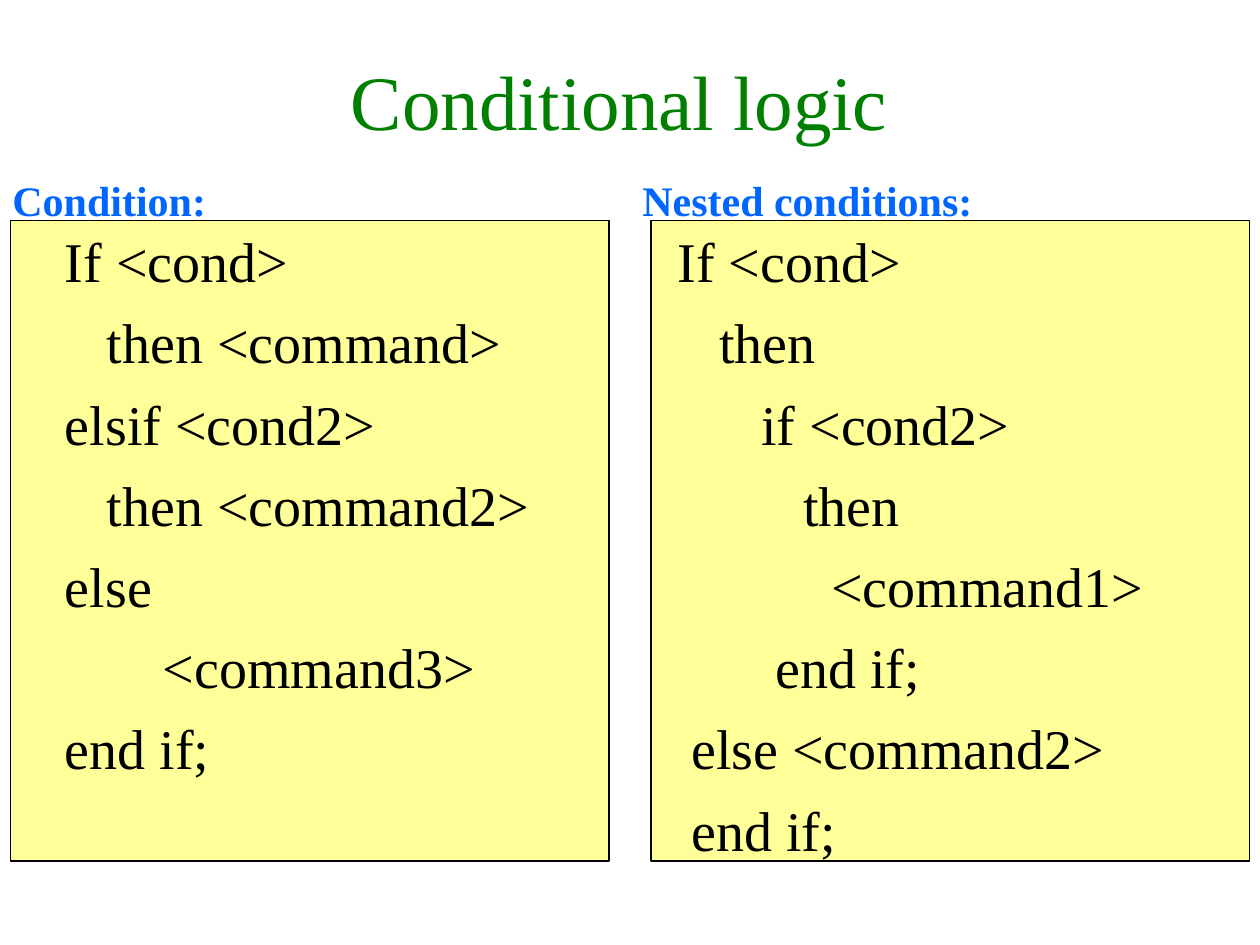
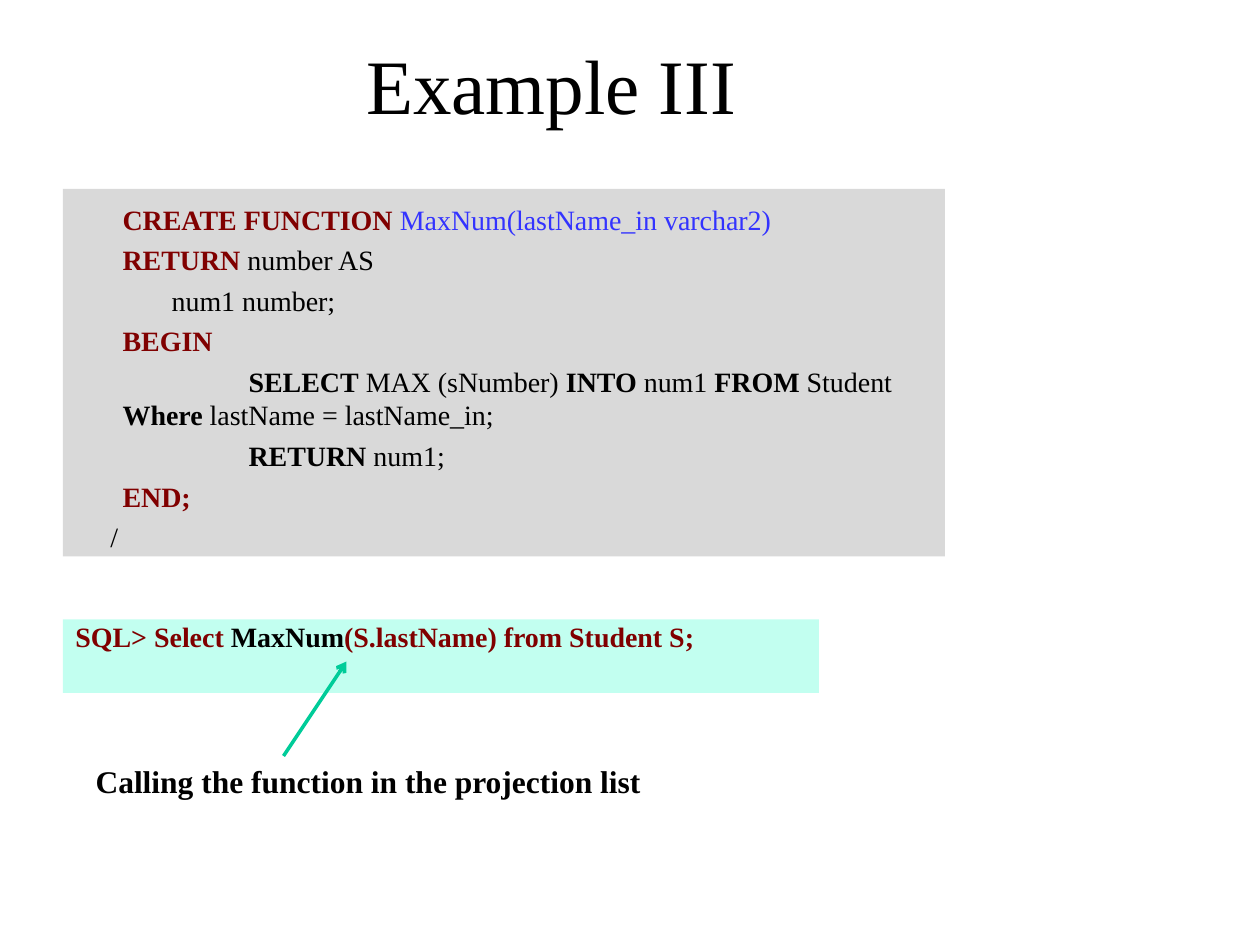
"""Build two slides on conditional logic and functions in SQL procedures."""
from dataclasses import dataclass

from lxml.etree import SubElement
from pptx import Presentation
from pptx.dml.color import RGBColor
from pptx.enum.shapes import MSO_CONNECTOR as Connector, MSO_SHAPE as Shape
from pptx.enum.text import MSO_ANCHOR as Anchor, PP_ALIGN as Align
from pptx.oxml.ns import qn
from pptx.util import Pt


@dataclass(frozen=True)
class Theme:
    font: str = "Times New Roman"
    black: str = "000000"
    green: str = "008000"
    label_blue: str = "0066FF"
    signature_blue: str = "3333FF"
    maroon: str = "800000"
    yellow: str = "FFFF99"
    grey: str = "D9D9D9"
    mint: str = "C2FFF0"
    teal: str = "00CC99"
    title_size: float = 44
    logic_size: float = 32
    label_size: float = 24
    caption_size: float = 18
    code_size: float = 16


THEME = Theme()
PLAIN = (THEME.black, False)
BOLD = (THEME.black, True)
KEYWORD = (THEME.maroon, True)
SIGNATURE = (THEME.signature_blue, False)
LABEL = (THEME.label_blue, True)


class SlideBuilder:
    def __init__(self, theme, width, height):
        self.theme = theme
        self.deck = Presentation()
        self.deck.slide_width, self.deck.slide_height = Pt(width), Pt(height)
        self.page = None

    def new_page(self):
        self.page = self.deck.slides.add_slide(self.deck.slide_layouts[6])

    def style(self, span, size, look):
        color, bold = look
        span.font.name = self.theme.font
        span.font.size = Pt(size)
        span.font.bold = bold
        span.font.color.rgb = RGBColor.from_string(color)

    def add_lines(self, box, lines, size, before=0.0, spacing=None):
        frame = box.text_frame
        for number, (left, first, spans) in enumerate(lines):
            para = frame.add_paragraph() if number else frame.paragraphs[0]
            para.alignment = Align.LEFT
            para.space_before = Pt(before)
            if spacing:
                para.line_spacing = spacing
            properties = para._p.get_or_add_pPr()
            properties.set("marL", str(Pt(left)))
            properties.set("indent", str(Pt(first)))
            for look, text in spans:
                span = para.add_run()
                span.text = text
                self.style(span, size, look)

    def text(self, area, text, size, look, before=0.0, wrap=True):
        box = self.page.shapes.add_textbox(*map(Pt, area))
        box.text_frame.word_wrap = wrap
        self.add_lines(box, [(0, 0, [(look, text)])], size, before)
        return box

    def title(self, area, text, color):
        box = self.text(area, text, self.theme.title_size, (color, False))
        box.text_frame.vertical_anchor = Anchor.MIDDLE
        box.text_frame.paragraphs[0].alignment = Align.CENTER

    def panel(self, area, fill, lines, size, before, outline=None, spacing=None, top=3.6):
        box = self.page.shapes.add_shape(Shape.RECTANGLE, *map(Pt, area))
        box.shadow.inherit = False
        box.fill.solid()
        box.fill.fore_color.rgb = RGBColor.from_string(fill)
        if outline:
            box.line.color.rgb = RGBColor.from_string(outline)
            box.line.width = Pt(0.75)
        else:
            box.line.fill.background()
        box.text_frame.word_wrap = True
        box.text_frame.vertical_anchor = Anchor.TOP
        box.text_frame.margin_top = Pt(top)
        self.add_lines(box, lines, size, before, spacing)

    def arrow(self, start, end):
        connector = self.page.shapes.add_connector(Connector.STRAIGHT, *map(Pt, start + end))
        connector.line.color.rgb = RGBColor.from_string(self.theme.teal)
        connector.line.width = Pt(2)
        properties = connector._element.spPr
        SubElement(properties.get_or_add_ln(), qn("a:tailEnd"), type="arrow")
        SubElement(properties, qn("a:effectLst"))


def conditional_logic(builder):
    step = 8
    condition = [(3, "If <cond>"), (6, "then <command>"), (3, "elsif <cond2>"),
                 (6, "then <command2>"), (3, "else"), (10, "<command3>"), (3, "end if;")]
    nested = [(1, "If <cond>"), (4, "then"), (7, "if <cond2>"), (10, "then"),
              (12, "<command1>"), (8, "end if;"), (2, "else <command2>"), (2, "end if;")]
    builder.new_page()
    builder.title((48, 12, 612, 90), "Conditional logic", THEME.green)
    columns = [(0, 6, "Condition:", condition), (360, 372, "Nested conditions:", nested)]
    for label_left, panel_left, label, logic in columns:
        lines = [(depth * step, 0, [(PLAIN, text)]) for depth, text in logic]
        builder.panel((panel_left, 126, 342, 366), THEME.yellow, lines,
                      THEME.logic_size, 8, outline=THEME.black)
        builder.text((label_left, 96, 342, 36), label, THEME.label_size, LABEL, before=15)


def function_example(builder):
    margin, tab = 27, 72
    code = [
        (margin, 0, [(KEYWORD, "CREATE FUNCTION "),
                     (SIGNATURE, "MaxNum(lastName_in varchar2)")]),
        (margin, 0, [(KEYWORD, "RETURN"), (PLAIN, " number AS")]),
        (margin, 28, [(PLAIN, "num1 number;")]),
        (margin, 0, [(KEYWORD, "BEGIN")]),
        (margin, tab, [(BOLD, "SELECT"), (PLAIN, " MAX (sNumber) "), (BOLD, "INTO"),
                       (PLAIN, " num1 "), (BOLD, "FROM"), (PLAIN, " Student "),
                       (BOLD, "Where"), (PLAIN, " lastName = lastName_in;")]),
        (margin, tab, [(BOLD, "RETURN"), (PLAIN, " num1;")]),
        (margin, 0, [(KEYWORD, "END;")]),
        (20, 0, [(PLAIN, "/")]),
    ]
    query = [(0, 0, [(KEYWORD, "SQL> Select "), (BOLD, "MaxNum"),
                     (KEYWORD, "(S.lastName) from Student S;")])]
    builder.new_page()
    builder.title((18, 12, 594, 72), "Example III", THEME.black)
    builder.panel((36, 108, 504, 210), THEME.grey, code, THEME.code_size, 4, top=7.5)
    builder.panel((36, 354, 432, 42), THEME.mint, query, THEME.code_size, 4, spacing=0.8)
    builder.arrow((162, 432), (198, 378))
    builder.text((47.5, 432, 326, 29), "Calling the function in the projection list",
                 THEME.caption_size, BOLD, before=4.5, wrap=False)


def main():
    builder = SlideBuilder(THEME, 720, 540)
    conditional_logic(builder)
    function_example(builder)
    builder.deck.save("out.pptx")


if __name__ == "__main__":
    main()
